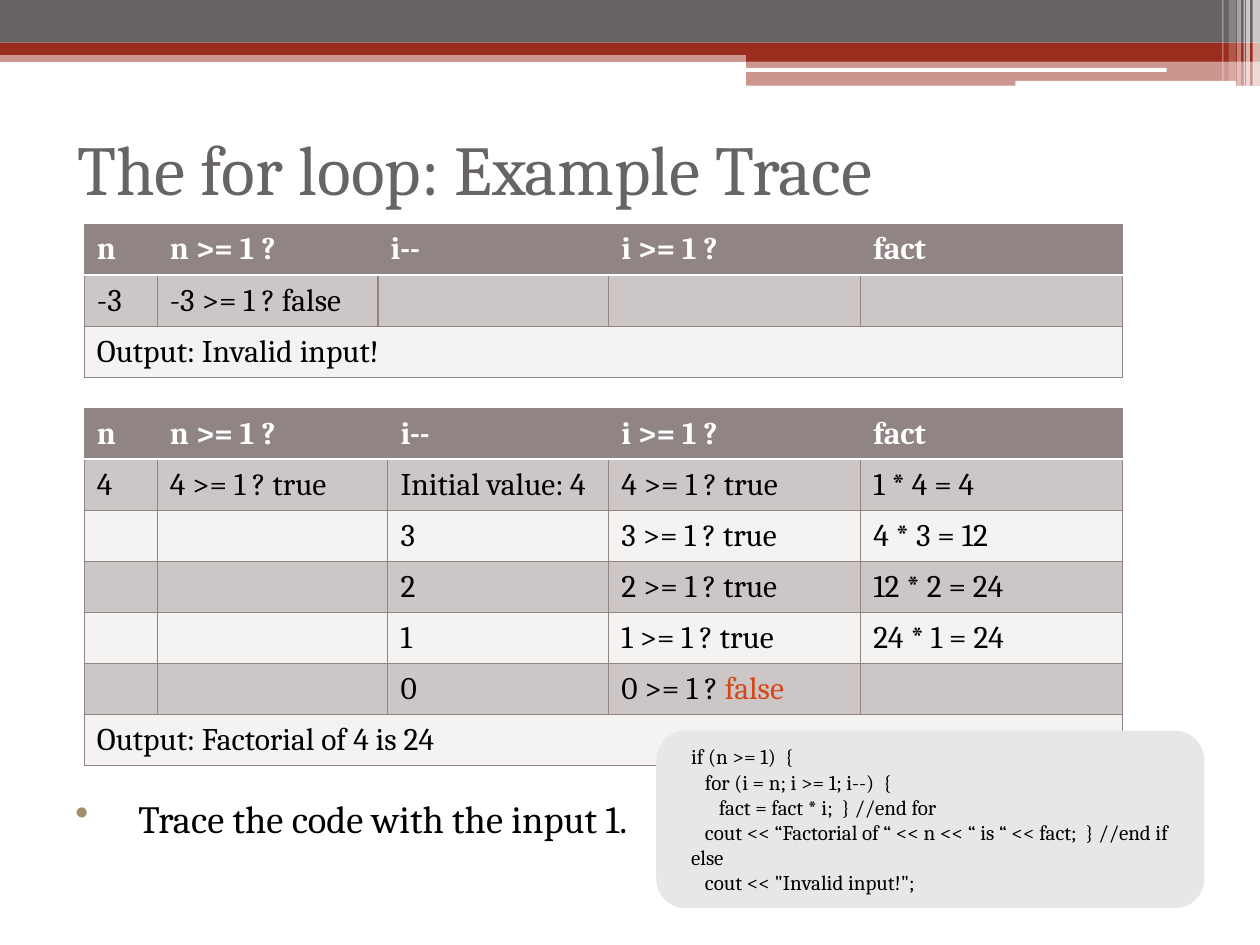
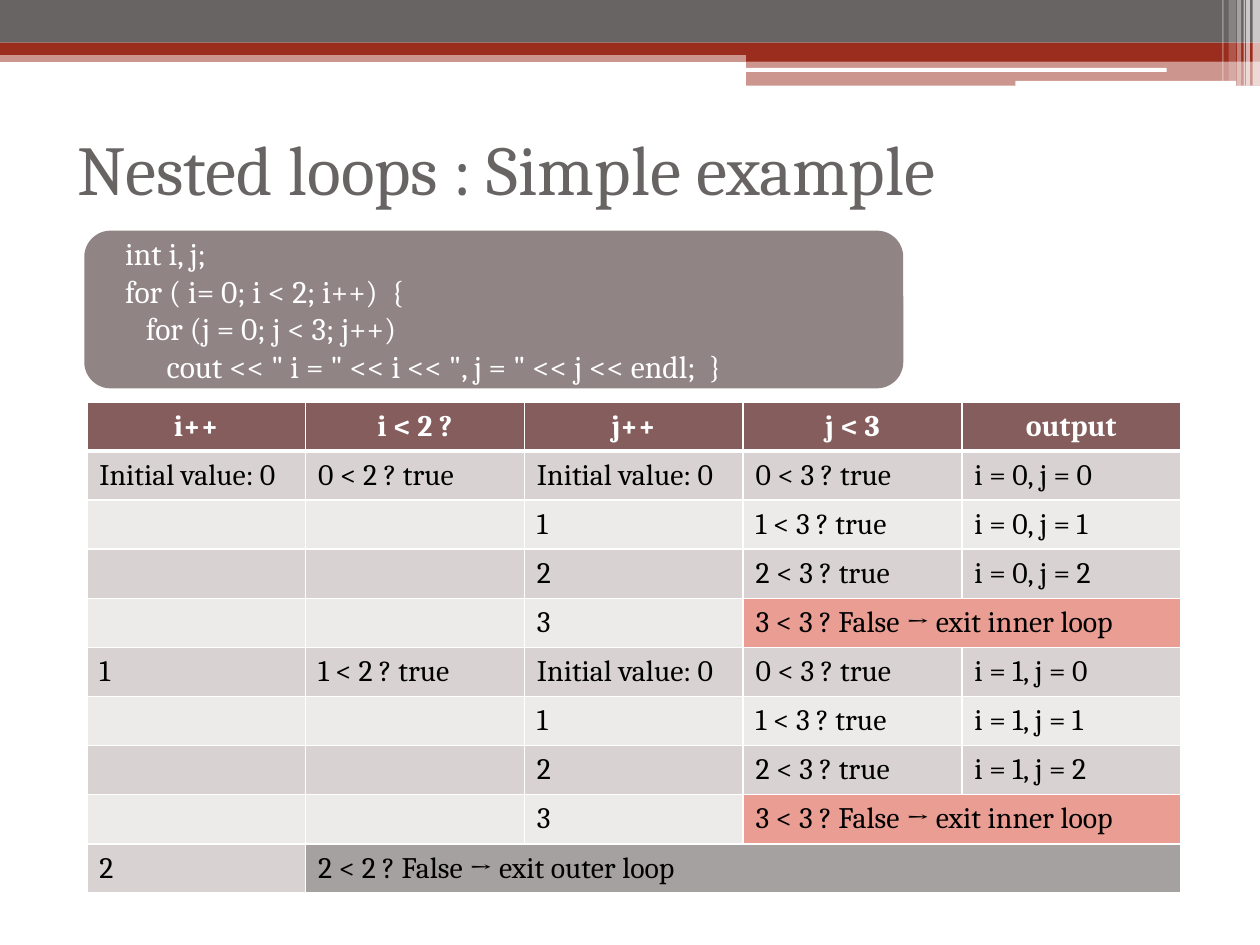
from lxml import etree
from pptx import Presentation
from pptx import util as u
from pptx.dml import color
from pptx.enum import shapes, text
from pptx.oxml import ns

FONT = "Cambria"
GREY, RED, MAUVE, WHITE, BLACK = "696464", "9B2D1F", "918485", "FFFFFF", "000000"


def rgb(hex_string):
    return color.RGBColor.from_string(hex_string)


def add_trace(s, left, top, widths, height, rows, size, align, head, bands, line, rule, spans):
    shape = s.shapes.add_table(len(rows), len(widths), u.Cm(left), u.Cm(top),
                               u.Cm(sum(widths)), u.Cm(height * len(rows)))
    table = shape.table
    table.horz_banding = False
    for column, width in zip(table.columns, widths):
        column.width = u.Cm(width)
    for i, row in enumerate(rows):
        table.rows[i].height = u.Cm(height)
        for j in range(len(widths)):
            cell = table.cell(i, j)
            cell.margin_top = cell.margin_bottom = u.Cm(0.08)
            cell.vertical_anchor = text.MSO_ANCHOR.MIDDLE
            borders = dict.fromkeys(("lnL", "lnR", "lnT", "lnB"), line)
            if i < 2:
                borders["lnB" if i == 0 else "lnT"] = (WHITE, rule)
            for tag, (hex_string, points) in borders.items():
                ln = etree.SubElement(cell._tc.get_or_add_tcPr(), ns.qn("a:" + tag),
                                      w=str(u.Pt(points)))
                fill = etree.SubElement(ln, ns.qn("a:solidFill"))
                etree.SubElement(fill, ns.qn("a:srgbClr"), val=hex_string)
            shade = head if i == 0 else bands[i % 2]
            if j >= len(row) - 1 and len(row) in spans:
                shade = spans[len(row)]
            cell.fill.solid()
            cell.fill.fore_color.rgb = rgb(shade)
            if j >= len(row) or not row[j]:
                continue
            p = cell.text_frame.paragraphs[0]
            p.alignment = align if i == 0 else text.PP_ALIGN.LEFT
            for k, part in enumerate(row[j].split("|")):
                r = p.add_run()
                r.text = part
                r.font.name = FONT
                r.font.size = u.Pt(size)
                r.font.bold = i == 0
                r.font.color.rgb = rgb(WHITE if i == 0 else "D34817" if k else BLACK)
        if len(row) < len(widths):
            table.cell(i, len(row) - 1).merge(table.cell(i, len(widths) - 1))


prs = Presentation()
prs.slide_width, prs.slide_height = u.Cm(25.4), u.Cm(19.05)
layout = prs.slide_layouts[5]

slides = []
for title in ("The for loop: Example Trace", "Nested loops : Simple example"):
    s = prs.slides.add_slide(layout)
    sp = s.shapes.title
    sp.left, sp.top, sp.width, sp.height = u.Cm(1.3), u.Cm(1.9), u.Cm(22.86), u.Cm(2.97)
    tf = sp.text_frame
    tf.vertical_anchor = text.MSO_ANCHOR.MIDDLE
    p = tf.paragraphs[0]
    p.alignment = text.PP_ALIGN.LEFT
    r = p.add_run()
    r.text = title
    r.font.name = FONT
    r.font.size = u.Pt(40)
    r.font.color.rgb = rgb(GREY)
    slides.append(s)
trace, nested = slides

RECT, ROUND = shapes.MSO_SHAPE.RECTANGLE, shapes.MSO_SHAPE.ROUNDED_RECTANGLE
header_bands = [
    (RECT, 0, 1.02, 25.4, 0.23, RED, 50),
    (RECT, 0, 0, 25.4, 0.86, GREY, 100),
    (RECT, 0, 0.86, 25.4, 0.25, RED, 100),
    (RECT, 15.04, 0.99, 10.36, 0.25, RED, 100),
    (RECT, 15.04, 1.22, 10.36, 0.51, RED, 50),
    (ROUND, 15.01, 1.37, 8.51, 0.08, WHITE, 100),
    (ROUND, 20.47, 1.63, 4.45, 0.1, WHITE, 100),
    (RECT, 25.25, 0, 0.15, 1.73, WHITE, 65),
    (RECT, 25.12, 0, 0.08, 1.73, WHITE, 65),
    (RECT, 25.07, 0, 0.03, 1.73, WHITE, 60),
    (RECT, 24.94, 0, 0.08, 1.73, WHITE, 40),
    (RECT, 24.77, 0, 0.15, 1.63, WHITE, 20),
    (RECT, 24.64, 0, 0.03, 1.63, WHITE, 30),
]
for i, (kind, left, top, width, height, shade, opacity) in enumerate(header_bands):
    sp = trace.shapes.add_shape(kind, u.Cm(left), u.Cm(top), u.Cm(width), u.Cm(height))
    sp.shadow.inherit = False
    sp.line.fill.background()
    sp.fill.solid()
    sp.fill.fore_color.rgb = rgb(shade)
    if opacity < 100:
        clr = sp.element.find(".//" + ns.qn("a:srgbClr"))
        etree.SubElement(clr, ns.qn("a:alpha"), val=str(opacity * 1000))
    layout.shapes.element.insert(2 + i, sp.element)

trace_header = ("n", "n >= 1 ?", "i--", "i >= 1 ?", "fact")
negative_rows = [
    trace_header,
    ("-3", "-3 >= 1 ? false", "", "", ""),
    ("Output: Invalid input!",),
]
factorial_rows = [
    trace_header,
    ("4", "4 >= 1 ? true", "Initial value: 4", "4 >= 1 ? true", "1 * 4 = 4"),
    ("", "", "3", "3 >= 1 ? true", "4 * 3 = 12"),
    ("", "", "2", "2 >= 1 ? true", "12 * 2 = 24"),
    ("", "", "1", "1 >= 1 ? true", "24 * 1 = 24"),
    ("", "", "0", "0 >= 1 ? |false", ""),
    ("Output: Factorial of 4 is 24",),
]
for top, widths, rows in (
    (4.52, (1.47, 4.45, 4.65, 5.08, 5.28), negative_rows),
    (8.23, (1.47, 4.65, 4.45, 5.08, 5.28), factorial_rows),
):
    add_trace(trace, 1.7, top, widths, 1.03, rows, 18, text.PP_ALIGN.LEFT, MAUVE,
              ("F4F3F2", "CCC6C6"), (MAUVE, 0.75), 1.5, {})

nested_rows = [("i++", "i < 2 ?", "j++", "j < 3", "output")]
for i, start in enumerate(("Initial value: 0", "1")):
    for j, step in enumerate(("Initial value: 0", "1", "2")):
        outer = ("", "") if j else (start, f"{i} < 2 ? true")
        nested_rows.append((*outer, step, f"{j} < 3 ? true", f"i = {i}, j = {j}"))
    nested_rows.append(("", "", "3", "3 < 3 ? False → exit inner loop"))
nested_rows.append(("2", "2 < 2 ? False → exit outer loop"))
add_trace(nested, 1.75, 8.1, [4.41] * 5, 0.99, nested_rows, 17, text.PP_ALIGN.CENTER, "855D5D",
          ("EDEAEA", "D9D2D2"), (WHITE, 1), 3, {4: "E99D93", 2: "A6A1A1"})

sp = trace.shapes.add_textbox(u.Cm(1.27), u.Cm(15.85), u.Cm(22.86), u.Cm(1.27))
tf = sp.text_frame
tf.word_wrap = True
tf.vertical_anchor = text.MSO_ANCHOR.MIDDLE
p = tf.paragraphs[0]
p.alignment = text.PP_ALIGN.JUSTIFY
pPr = p._p.get_or_add_pPr()
pPr.set("marL", str(u.Cm(1.27)))
pPr.set("indent", str(u.Cm(-1.27)))
bullet_color = etree.SubElement(pPr, ns.qn("a:buClr"))
etree.SubElement(bullet_color, ns.qn("a:srgbClr"), val="A28E6A")
etree.SubElement(pPr, ns.qn("a:buChar"), char="•")
r = p.add_run()
r.text = "Trace the code with the input 1."
r.font.name = FONT
r.font.size = u.Pt(22)
r.font.color.rgb = rgb(BLACK)

factorial_code = """\
   if (n >= 1)  {
      for (i = n; i >= 1; i--)  {
         fact = fact * i;  } //end for
      cout << “Factorial of “ << n << “ is “ << fact;  } //end if
   else
      cout << "Invalid input!";"""
nested_code = """\
   int i, j;
   for ( i= 0; i < 2; i++)  {
      for (j = 0; j < 3; j++)
         cout << " i = " << i << ", j = " << j << endl;  }"""
for s, left, top, width, height, shade, ink, size, code in (
    (trace, 13.23, 14.73, 11.05, 3.58, "E9E6E7", BLACK, 12, factorial_code),
    (nested, 1.7, 4.65, 16.51, 3.18, MAUVE, WHITE, 18, nested_code),
):
    sp = s.shapes.add_shape(ROUND, u.Cm(left), u.Cm(top), u.Cm(width), u.Cm(height))
    sp.shadow.inherit = False
    sp.line.fill.background()
    sp.fill.solid()
    sp.fill.fore_color.rgb = rgb(shade)
    tf = sp.text_frame
    tf.word_wrap = True
    tf.vertical_anchor = text.MSO_ANCHOR.MIDDLE
    p = tf.paragraphs[0]
    p.alignment = text.PP_ALIGN.LEFT
    for i, line in enumerate(code.split("\n")):
        if i:
            p.add_line_break()
        r = p.add_run()
        r.text = line
        r.font.name = FONT
        r.font.size = u.Pt(size)
        r.font.color.rgb = rgb(ink)

prs.save("out.pptx")
